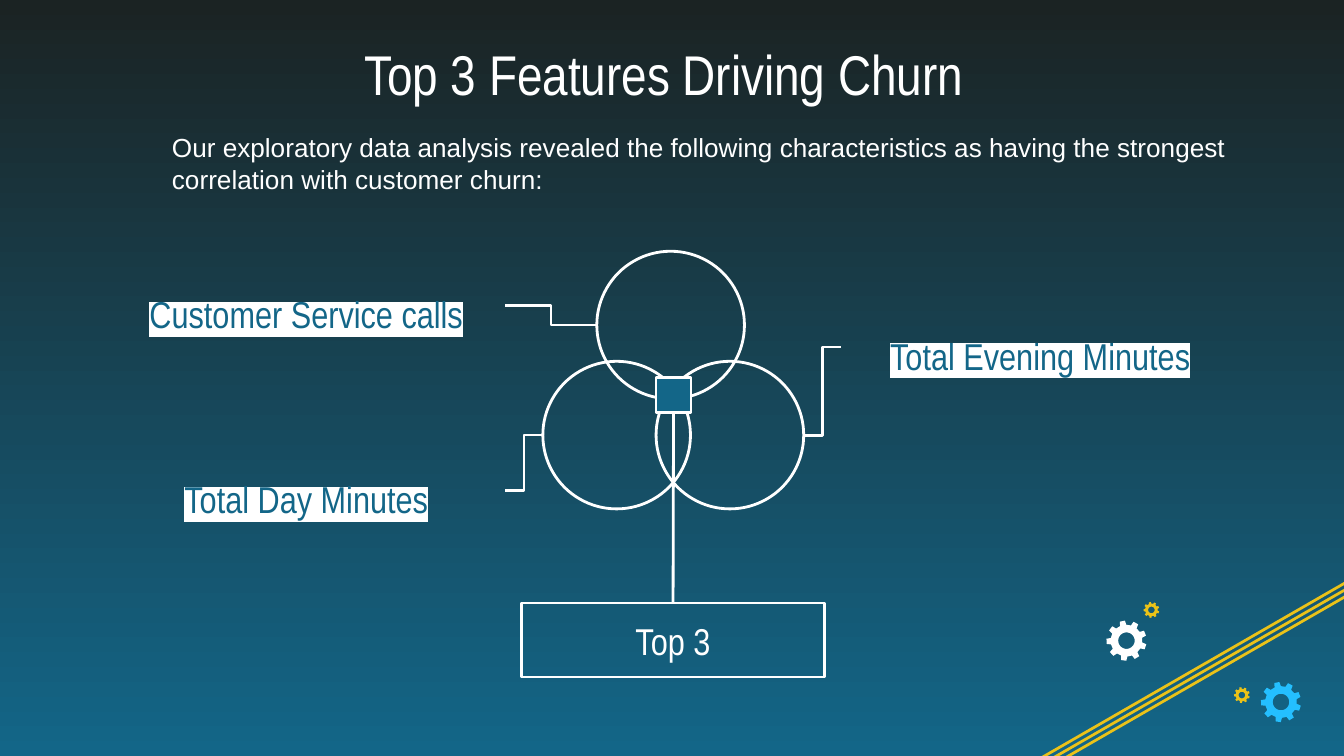
import math
from dataclasses import dataclass

import lxml.etree
import pptx
import pptx.dml.color
import pptx.enum.shapes
import pptx.enum.text
import pptx.util
from pptx.oxml.ns import qn

Cm = pptx.util.Cm
Pt = pptx.util.Pt
RGB = pptx.dml.color.RGBColor.from_string
SHAPE = pptx.enum.shapes.MSO_SHAPE
CONNECTOR = pptx.enum.shapes.MSO_CONNECTOR
ALIGN = pptx.enum.text.PP_ALIGN
ANCHOR = pptx.enum.text.MSO_ANCHOR


@dataclass(frozen=True)
class Theme:
    dark: str = "1B2323"
    teal: str = "136688"
    white: str = "FFFFFF"
    gold: str = "EBC218"
    sky: str = "24BFFF"
    narrow: str = "Arial Narrow"
    body: str = "Arial"
    title_size: float = 30
    label_size: float = 20
    body_size: float = 14
    line: float = 1.5


T = Theme()


def set_text(sp, text, size, font, color, align=ALIGN.CENTER, anchor=ANCHOR.TOP, highlight=None):
    tf = sp.text_frame
    margins = {f"margin_{side}": Cm(0.25) for side in ("left", "top", "right", "bottom")}
    for name, value in {"word_wrap": True, "vertical_anchor": anchor, **margins}.items():
        setattr(tf, name, value)
    p = tf.paragraphs[0]
    p.alignment = align
    r = p.add_run()
    r.text = text
    for name, value in {"size": Pt(size), "name": font}.items():
        setattr(r.font, name, value)
    r.font.color.rgb = RGB(color)
    if highlight:
        mark = lxml.etree.Element(qn("a:highlight"))
        lxml.etree.SubElement(mark, qn("a:srgbClr"), val=highlight)
        r.font._element.find(qn("a:solidFill")).addnext(mark)


def add_text(slide, box, *args, **kwargs):
    sp = slide.shapes.add_textbox(*map(Cm, box))
    set_text(sp, *args, **kwargs)


def add_outline(slide, kind, box, fill=None):
    sp = slide.shapes.add_shape(kind, *map(Cm, box))
    sp.shadow.inherit = False
    if fill:
        sp.fill.solid()
        sp.fill.fore_color.rgb = RGB(fill)
    else:
        sp.fill.background()
    sp.line.color.rgb = RGB(T.white)
    sp.line.width = Pt(T.line)
    return sp


def add_link(slide, kind, start, end):
    cxn = slide.shapes.add_connector(kind, *map(Cm, (*start, *end)))
    cxn.line.color.rgb = RGB(T.white)
    cxn.line.width = Pt(T.line)
    lxml.etree.SubElement(cxn._element.spPr, qn("a:effectLst"))


def add_outline_fill(slide, contours, color):
    contours = [[(Cm(x), Cm(y)) for x, y in contour] for contour in contours]
    builder = slide.shapes.build_freeform(*contours[0][0])
    for i, contour in enumerate(contours):
        if i:
            builder.move_to(*contour[0])
        builder.add_line_segments(contour[1:], close=True)
    sp = builder.convert_to_shape()
    sp.shadow.inherit = False
    sp.fill.solid()
    sp.fill.fore_color.rgb = RGB(color)
    sp.line.fill.background()


def add_gear(slide, box, color, teeth=9, phase=28):
    x, y, w, h = box
    cx, cy, radius = x + w / 2, y + h / 2, w / 2

    def polar(degrees, share):
        a = math.radians(degrees)
        return cx + radius * share * math.sin(a), cy - radius * share * math.cos(a)

    profile = ((-11.5, 0.79), (-7.5, 1), (7.5, 1), (11.5, 0.79))
    rim = [polar(phase + i * 360 / teeth + offset, share)
           for i in range(teeth) for offset, share in profile]
    hole = [polar(-a, 0.41) for a in range(0, 360, 10)]
    add_outline_fill(slide, [rim, hole], color)


def add_stripes(slide, box, count=3, pitch=0.13, thickness=0.06):
    x, y, w, h = box
    rise = h - (count - 1) * pitch - thickness
    for i in reversed(range(count)):
        top = y + i * pitch
        add_outline_fill(slide, [[(x + w, top), (x + w, top + thickness),
                                  (x, top + rise + thickness), (x, top + rise)]], T.gold)


def add_corner(slide, box):
    x, y, w, h = box
    add_stripes(slide, box)
    gears = ((1.48, 0.93, 0.76, T.white), (2.18, 0.58, 0.3, T.gold),
             (4.4, 2.09, 0.76, T.sky), (3.89, 2.19, 0.3, T.gold))
    for dx, dy, size, color in gears:
        add_gear(slide, (x + dx, y + dy, size, size), color)


def add_header(slide, box):
    x, y, w, h = box
    add_text(slide, (x, y, 21.44, 1.5), "Top 3 Features Driving Churn",
             T.title_size, T.narrow, T.white, anchor=ANCHOR.BOTTOM)
    add_text(slide, (x + 1.17, y + 1.48, w - 1.17, h - 1.48),
             "Our exploratory data analysis revealed the following characteristics "
             "as having the strongest correlation with customer churn:",
             T.body_size, T.body, T.white, align=ALIGN.LEFT)


def add_diagram(slide, box):
    x, y, w, h = box
    d, label_w, label_h, square = 2.79, 7.52, 1.02, 0.66
    features = (("Customer Service calls", 0, 0.51, 9.25, 0),
                ("Total Day Minutes", 0, 4.01, 8.23, 2.08),
                ("Total Evening Minutes", w - label_w, 1.3, 10.37, 2.08))
    for _, _, _, dx, dy in features:
        add_outline(slide, SHAPE.OVAL, (x + dx, y + dy, d, d))
    for text, label_x, label_y, dx, dy in features:
        add_text(slide, (x + label_x, y + label_y, label_w, label_h), text,
                 T.label_size, T.narrow, T.teal, highlight=T.white)
        on_left = label_x < dx
        start = (x + label_x + label_w * on_left, y + label_y + label_h / 2)
        end = (x + dx + d * (not on_left), y + dy + d / 2)
        add_link(slide, CONNECTOR.ELBOW, start, end)

    base_w, base_h = 5.72, 1.4
    base_x, base_y = x + 7.83, y + h - base_h
    base = add_outline(slide, SHAPE.RECTANGLE, (base_x, base_y, base_w, base_h))
    set_text(base, "Top 3", T.label_size, T.narrow, T.white, anchor=ANCHOR.MIDDLE)
    square_x, square_y = x + 10.37, y + 2.39
    add_outline(slide, SHAPE.RECTANGLE, (square_x, square_y, square, square), T.teal)
    add_link(slide, CONNECTOR.STRAIGHT, (base_x + base_w / 2, base_y),
             (square_x + square / 2, square_y + square))


def add_background(slide):
    fill = slide.background.fill
    fill.gradient()
    fill.gradient_angle = 270
    for stop, color, position in zip(fill.gradient_stops, (T.dark, T.teal), (0, 1)):
        stop.color.rgb = RGB(color)
        stop.position = position


def main():
    prs = pptx.Presentation()
    prs.slide_width, prs.slide_height = Cm(25.4), Cm(14.29)
    slide = prs.slides.add_slide(prs.slide_layouts[6])
    add_background(slide)
    add_corner(slide, (19.43, 10.8, 6.32, 3.96))
    add_diagram(slide, (2.03, 4.75, 21.39, 8.05))
    add_header(slide, (1.83, 0.76, 22, 3))
    prs.save("out.pptx")


if __name__ == "__main__":
    main()
